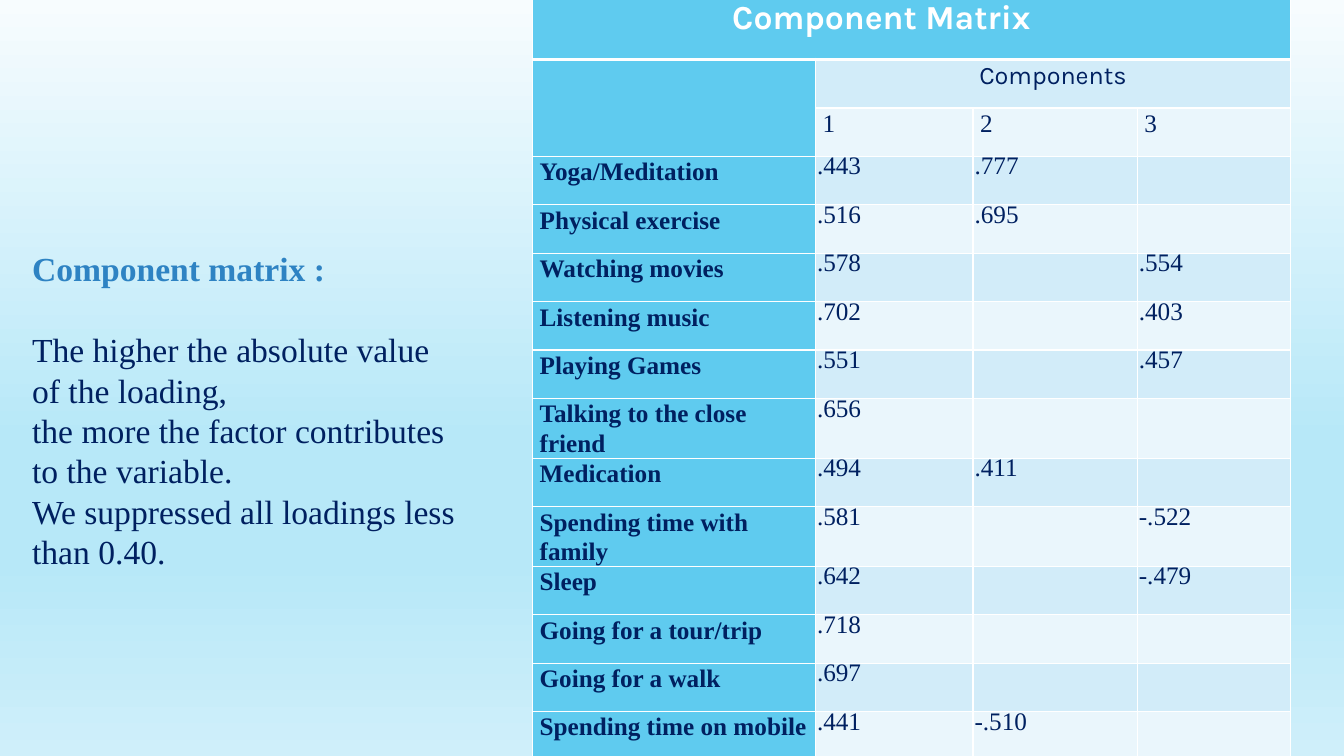
from lxml.etree import SubElement
from pptx import Presentation
from pptx.dml.color import RGBColor
from pptx.enum.text import PP_ALIGN
from pptx.oxml.ns import qn
from pptx.util import Cm, Pt

CENTER, LEFT = PP_ALIGN.CENTER, PP_ALIGN.LEFT
TITLE_FONT, BODY_FONT = "Karla", "Times New Roman"
COLORS = {
    "white": "FFFFFF", "navy": "002060", "heading": "2E83C3",
    "header": "5FCBEF", "band_dark": "D2ECF9", "band_light": "EAF6FC",
}
BACKGROUND_STOPS = [(0, "F7FCFE"), (58, "B7E8F8"), (74, "B7E8F8"), (100, "CFEFFA")]
LOADINGS = [
    ("Yoga/Meditation", ".443", ".777", ""),
    ("Physical exercise", ".516", ".695", ""),
    ("Watching movies", ".578", "", ".554"),
    ("Listening music", ".702", "", ".403"),
    ("Playing Games", ".551", "", ".457"),
    ("Talking to the close friend", ".656", "", ""),
    ("Medication", ".494", ".411", ""),
    ("Spending time with family", ".581", "", "-.522"),
    ("Sleep", ".642", "", "-.479"),
    ("Going for a tour/trip", ".718", "", ""),
    ("Going for a walk", ".697", "", ""),
    ("Spending time on mobile", ".441", "-.510", ""),
]
EXPLANATION = [
    "Component matrix :",
    "The higher the absolute value of the loading,",
    "the more the factor contributes to the variable.",
    "We suppressed all loadings less than 0.40.",
]


def style_paragraph(paragraph, text, size, font, color, bold=False, align=LEFT, spacing=1.07):
    paragraph.text = text
    paragraph.alignment = align
    paragraph.line_spacing = spacing
    paragraph.font.size = Pt(size)
    paragraph.font.name = font
    paragraph.font.bold = bold
    paragraph.font.color.rgb = RGBColor.from_string(COLORS[color])


def paint_cell(cell, color, top=1, bottom=1):
    """Give the cell white borders (widths in points) and a solid fill."""
    properties = cell._tc.get_or_add_tcPr()
    for side, width in (("L", 1), ("R", 1), ("T", top), ("B", bottom)):
        border = SubElement(properties, qn(f"a:ln{side}"), w=str(Pt(width)))
        SubElement(SubElement(border, qn("a:solidFill")), qn("a:srgbClr"), val=COLORS["white"])
    cell.fill.solid()
    cell.fill.fore_color.rgb = RGBColor.from_string(COLORS[color])


prs = Presentation()
prs.slide_width, prs.slide_height = Cm(33.87), Cm(19.05)
slide = prs.slides.add_slide(prs.slide_layouts[6])

# Background gradient
background = slide.background.fill
background.gradient()
background.gradient_angle = 270
stops = slide.element.find(".//" + qn("a:gsLst"))
for stop in list(stops):
    stops.remove(stop)
for percent, color in BACKGROUND_STOPS:
    stop = SubElement(stops, qn("a:gs"), pos=str(percent * 1000))
    SubElement(stop, qn("a:srgbClr"), val=color)

# Component matrix
row_count = len(LOADINGS) + 3
matrix = slide.shapes.add_table(row_count, 4, Cm(13.42), Cm(-0.1), Cm(19.1), Cm(18.68)).table
for column, width in zip(matrix.columns, (7.13, 3.97, 4.14, 3.86)):
    column.width = Cm(width)
for index, row in enumerate(matrix.rows):
    row.height = Cm(1.6 if index == 0 else 1.22)
    for col, cell in enumerate(row.cells):
        band = "band_dark" if index % 2 else "band_light"
        paint_cell(cell, "header" if index == 0 or col == 0 else band,
                   top=3 if index == 1 else 1, bottom=3 if index == 0 else 1)
        cell.margin_left = cell.margin_right = Cm(0.18)
        cell.margin_top = cell.margin_bottom = 0

title, components = matrix.cell(0, 0), matrix.cell(1, 1)
title.merge(matrix.cell(0, 3))
components.merge(matrix.cell(1, 3))
matrix.cell(1, 0).merge(matrix.cell(2, 0))
title.margin_right = Cm(1.7)
style_paragraph(title.text_frame.paragraphs[0], "Component Matrix", 24, TITLE_FONT, "white", True, CENTER)
style_paragraph(components.text_frame.paragraphs[0], "Components", 18, TITLE_FONT, "navy", align=CENTER)
for number in (1, 2, 3):
    style_paragraph(matrix.cell(2, number).text_frame.paragraphs[0], str(number), 18, BODY_FONT, "navy")

for row, (activity, *values) in enumerate(LOADINGS, start=3):
    style_paragraph(matrix.cell(row, 0).text_frame.paragraphs[0], activity, 18, BODY_FONT, "navy", True)
    for col, value in enumerate(values, start=1):
        cell = matrix.cell(row, col)
        cell.margin_left = cell.margin_right = cell.margin_top = cell.margin_bottom = Cm(0.04)
        style_paragraph(cell.text_frame.paragraphs[0], value, 18, BODY_FONT, "navy", spacing=Pt(16))

# Explanation
explanation = slide.shapes.add_textbox(Cm(0.56), Cm(6.12), Cm(11.33), Cm(8.46)).text_frame
explanation.word_wrap = True
for index, text in enumerate(EXPLANATION):
    paragraph = explanation.add_paragraph() if index else explanation.paragraphs[0]
    style_paragraph(paragraph, text, 24, BODY_FONT, "navy" if index else "heading",
                    bold=index == 0, spacing=Pt(28.9))
explanation.paragraphs[0].space_after = Pt(28.9)

prs.save("out.pptx")
